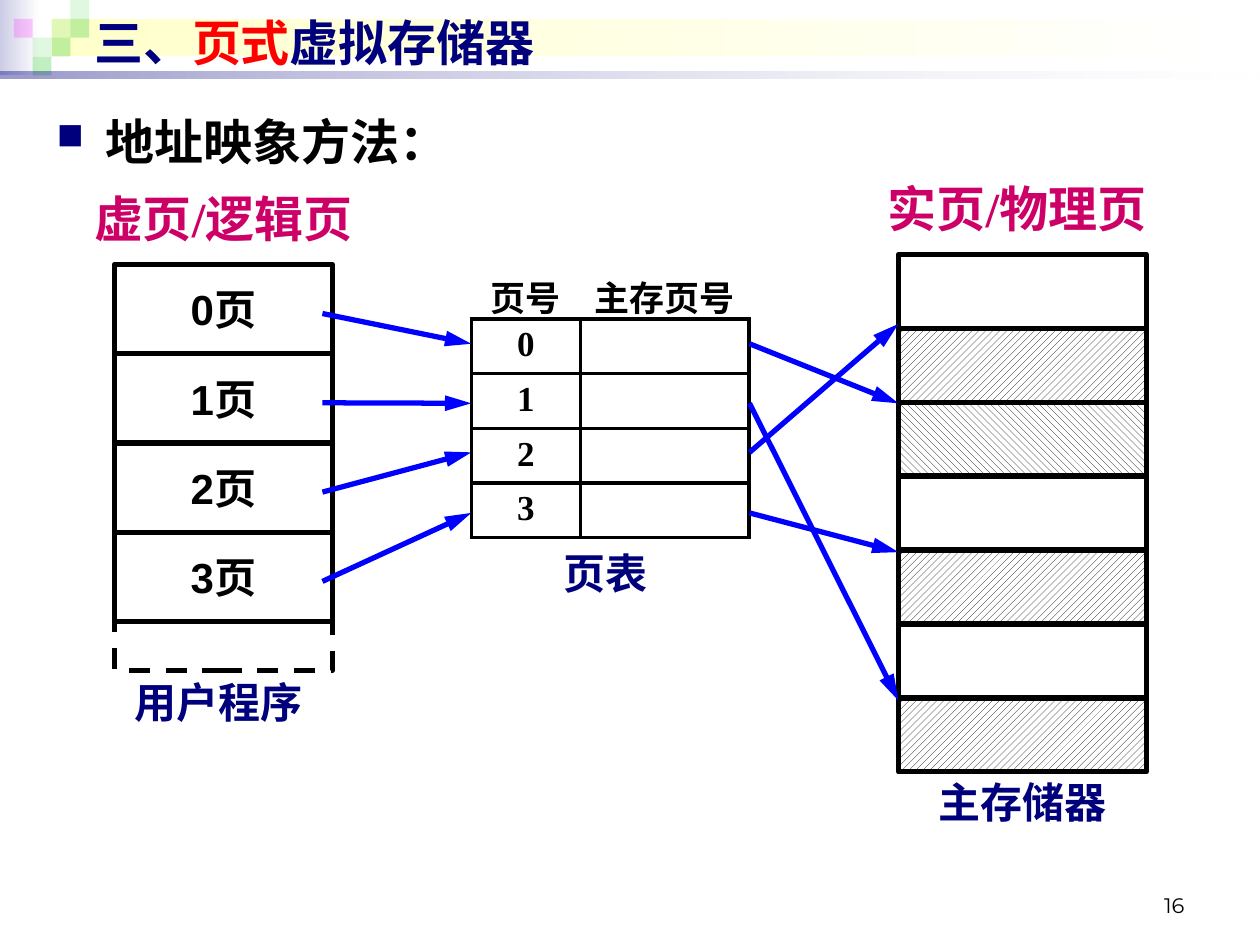
import pptx
import pptx.dml.color
import pptx.enum.dml
import pptx.enum.shapes
import pptx.enum.text
import pptx.oxml
import pptx.oxml.ns
import pptx.oxml.xmlchemy
import pptx.util

Cm, Pt = pptx.util.Cm, pptx.util.Pt
RGB = pptx.dml.color.RGBColor.from_string
OxmlElement = pptx.oxml.xmlchemy.OxmlElement
qn = pptx.oxml.ns.qn
ALIGN = pptx.enum.text.PP_ALIGN
ANCHOR = pptx.enum.text.MSO_ANCHOR
PATTERN = pptx.enum.dml.MSO_PATTERN
NAMESPACE = 'xmlns:a="http://schemas.openxmlformats.org/drawingml/2006/main"'
COLORS = {
    "black": "000000", "white": "FFFFFF", "navy": "00007D", "red": "FF0000",
    "magenta": "CC0066", "arrow": "0000FF", "lavender": "CCCCE6",
    "cream": "FFFFCC", "green": "33CC33", "pink": "FF00FF",
}


def write(frame, text, size=24, font="Arial", color="black", bold=True,
          align=ALIGN.CENTER, anchor=ANCHOR.TOP, wrap=True):
    """Append a formatted run to the first paragraph of a text frame."""
    frame.word_wrap = wrap
    frame.vertical_anchor = anchor
    paragraph = frame.paragraphs[0]
    paragraph.alignment = align
    run = paragraph.add_run()
    run.text = text
    run.font.size = Pt(size)
    run.font.name = font
    run.font.bold = bold
    run.font.color.rgb = RGB(COLORS[color])
    return paragraph


def add_box(left, top, width, height, colors=("white",), alphas=(), outlined=False):
    """Add a rectangle; two colours make a left-to-right gradient, alphas are percentages."""
    shape = slide.shapes.add_shape(
        pptx.enum.shapes.MSO_SHAPE.RECTANGLE, Cm(left), Cm(top), Cm(width), Cm(height))
    shape.shadow.inherit = False
    if len(colors) == 2:
        shape.fill.gradient()
        shape.fill.gradient_angle = 0
        for stop, color in zip(shape.fill.gradient_stops, colors):
            stop.color.rgb = RGB(COLORS[color])
    else:
        shape.fill.solid()
        shape.fill.fore_color.rgb = RGB(COLORS[colors[0]])
    for node, alpha in zip(shape._element.spPr.iter(qn("a:srgbClr")), alphas):
        opacity = OxmlElement("a:alpha")
        opacity.set("val", str(alpha * 1000))
        node.append(opacity)
    if outlined:
        shape.line.color.rgb = RGB(COLORS["black"])
        shape.line.width = Pt(3)
    else:
        shape.line.fill.background()
    return shape


presentation = pptx.Presentation()
presentation.slide_width, presentation.slide_height = Cm(25.4), Cm(19.05)
slide = presentation.slides.add_slide(presentation.slide_layouts[6])

# Header decoration: gradient bands and a mosaic of small squares
add_box(0, 0, 0.79, 1.52, ("lavender", "white"))
add_box(1.04, 0.38, 24.26, 0.76, ("cream", "white"))
TILE = 0.38
for column, row, color, alpha in [
    (2, 1, "green", 15), (3, 0, "green", 15), (3, 1, "green", 30), (1, 2, "green", 15),
    (0, 1, "pink", 20), (2, 2, "green", 30), (1, 3, "green", 30),
]:
    add_box(0.28 + column * TILE, row * TILE, TILE, TILE, (color,), (alpha,))
add_box(0, 1.44, 25.4, 0.14, ("navy", "white"), (40, 10))

# Title, bullet line and slide number
title = slide.shapes.add_textbox(Cm(1.65), Cm(0.13), Cm(22.86), Cm(1.45)).text_frame
for text, color in [("三、", "navy"), ("页式", "red"), ("虚拟存储器", "navy")]:
    write(title, text, size=28, color=color, align=ALIGN.LEFT, anchor=ANCHOR.MIDDLE)

body = slide.shapes.add_textbox(Cm(0.89), Cm(2.13), Cm(24), Cm(1.6)).text_frame
paragraph = write(body, "地址映象方法：", size=28, font="Times New Roman", align=ALIGN.LEFT)
properties = paragraph._p.get_or_add_pPr()
properties.set("marL", str(Cm(0.99)))
properties.set("indent", str(-Cm(0.99)))
for xml in [
    f'<a:buClr {NAMESPACE}><a:srgbClr val="{COLORS["navy"]}"/></a:buClr>',
    f'<a:buSzPct {NAMESPACE} val="75000"/>',
    f'<a:buChar {NAMESPACE} char="■"/>',
]:
    properties.append(pptx.oxml.parse_xml(xml))

number = slide.shapes.add_textbox(Cm(18.21), Cm(17.6), Cm(5.92), Cm(1.02)).text_frame
write(number, "16", size=12, font="Montserrat", bold=False,
      align=ALIGN.RIGHT, anchor=ANCHOR.BOTTOM)

# User program: four pages above a dashed remainder
PAGE_LEFT, PAGE_TOP, PAGE_WIDTH, PAGE_HEIGHT = 2.31, 5.33, 4.39, 1.8
remainder = add_box(PAGE_LEFT, PAGE_TOP + 4 * PAGE_HEIGHT, PAGE_WIDTH, 0.99, outlined=True)
remainder.line.dash_style = pptx.enum.dml.MSO_LINE.DASH
for page in range(4):
    shape = add_box(PAGE_LEFT, PAGE_TOP + page * PAGE_HEIGHT, PAGE_WIDTH, PAGE_HEIGHT,
                    outlined=True)
    write(shape.text_frame, f"{page}页", anchor=ANCHOR.MIDDLE, wrap=False)

# Page table: only the body rows are ruled on all sides
rows = [("页号", "主存页号")] + [(str(page), "") for page in range(4)]
graphic = slide.shapes.add_table(len(rows), 2, Cm(9.5), Cm(5.33), Cm(5.6), Cm(5.5))
table = graphic.table
table.first_row = table.horz_banding = False
table._tbl.tblPr.find(qn("a:tableStyleId")).text = "{2D5ABB26-0587-4C30-8999-92F81FD0307C}"
table.columns[0].width, table.columns[1].width = Cm(2.2), Cm(3.4)
for row, texts in enumerate(rows):
    table.rows[row].height = Cm(1.1)
    for column, text in enumerate(texts):
        cell = table.cell(row, column)
        cell.fill.background()
        if text:
            write(cell.text_frame, text, size=20, font="Times New Roman")
        cell_properties = cell._tc.get_or_add_tcPr()
        for position, side in enumerate("LRTB" if row else "B"):
            cell_properties.insert(position, pptx.oxml.parse_xml(
                f'<a:ln{side} {NAMESPACE} w="{Pt(2.25)}"><a:solidFill>'
                f'<a:srgbClr val="{COLORS["black"]}"/></a:solidFill></a:ln{side}>'))

# Main memory: hatched frames are occupied
UP, DOWN = PATTERN.WIDE_UPWARD_DIAGONAL, PATTERN.WIDE_DOWNWARD_DIAGONAL
FRAME_HEIGHT = 1.49
for index, pattern in enumerate([None, UP, DOWN, None, UP, None, UP]):
    shape = add_box(18.11, 5.13 + index * FRAME_HEIGHT, 5, FRAME_HEIGHT, outlined=True)
    if pattern is not None:
        shape.fill.patterned()
        shape.fill.pattern = pattern
        shape.fill.fore_color.rgb = RGB(COLORS["black"])
        shape.fill.back_color.rgb = RGB(COLORS["white"])

# Arrows: page to table entry, then table entry to memory frame
entry_heights = [6.93, 8.13, 9.12, 10.34]
frame_heights = [8.13, 14.12, 6.53, 11.13]
arrows = [(6.5, PAGE_TOP + (page + 0.55) * PAGE_HEIGHT, 9.5, entry)
          for page, entry in enumerate(entry_heights)]
arrows += [(15.11, entry, 18.11, frame)
           for entry, frame in zip(entry_heights, frame_heights)]
for ends in arrows:
    connector = slide.shapes.add_connector(
        pptx.enum.shapes.MSO_CONNECTOR.STRAIGHT, *[Cm(value) for value in ends])
    connector.line.color.rgb = RGB(COLORS["arrow"])
    connector.line.width = Pt(3)
    connector.line._get_or_add_ln().append(pptx.oxml.parse_xml(
        f'<a:tailEnd {NAMESPACE} type="triangle" w="med" len="lg"/>'))
    connector._element.spPr.append(OxmlElement("a:effectLst"))

# Captions
for text, left, top, width, size, font, color in [
    ("用户程序", 1.9, 13.51, 5, 24, "Arial", "navy"),
    ("页表", 9.7, 10.92, 5, 24, "Arial", "navy"),
    ("主存储器", 18.11, 15.52, 5, 24, "Arial", "navy"),
    ("虚页/逻辑页", 1.3, 3.68, 6.4, 28, "Times New Roman", "magenta"),
    ("实页/物理页", 17.3, 3.48, 6.4, 28, "Times New Roman", "magenta"),
]:
    caption = slide.shapes.add_textbox(Cm(left), Cm(top), Cm(width), Cm(size * 0.053))
    write(caption.text_frame, text, size=size, font=font, color=color)

presentation.save("out.pptx")
